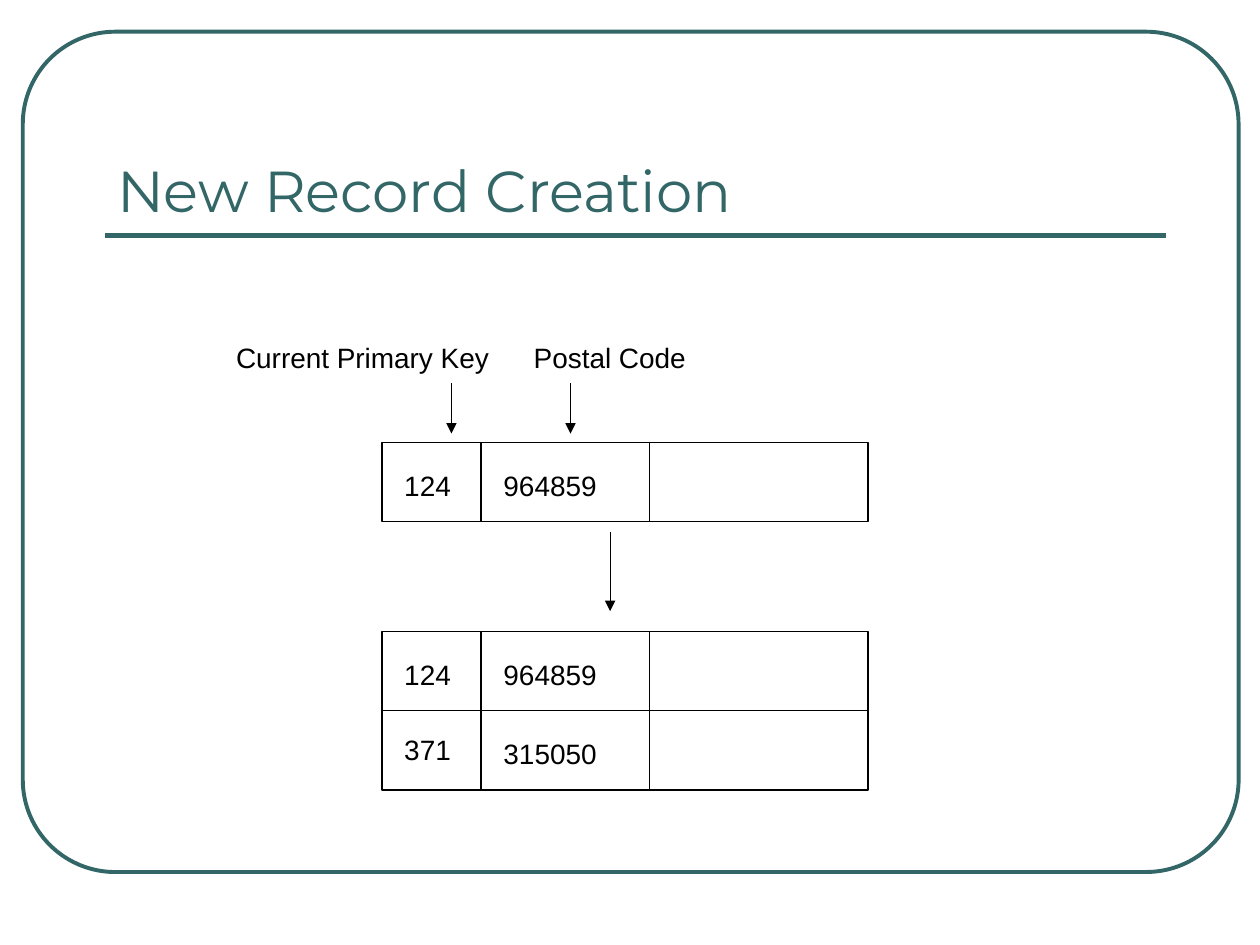
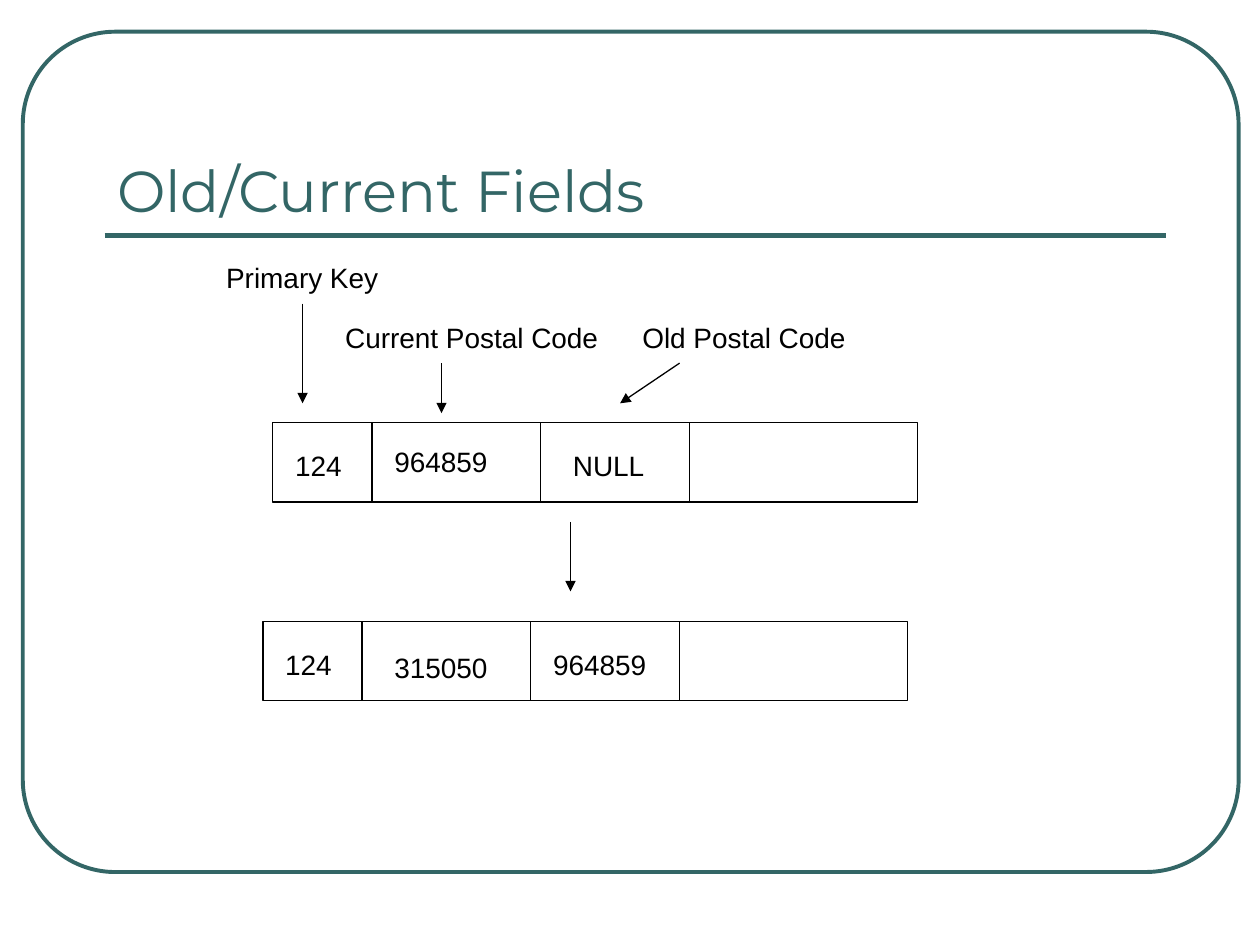
"""Build two slides that show how records change when a postal code changes."""
from dataclasses import dataclass
from itertools import accumulate
from typing import NamedTuple

from lxml.etree import SubElement
from pptx import Presentation
from pptx.dml.color import RGBColor
from pptx.enum.shapes import MSO_CONNECTOR as Connector, MSO_SHAPE as Shape
from pptx.enum.text import MSO_ANCHOR as Anchor, MSO_AUTO_SIZE as AutoSize
from pptx.oxml.ns import qn
from pptx.shapes.shapetree import GroupShapes, SlideShapes
from pptx.slide import Slide
from pptx.util import Cm, Pt

Shapes = SlideShapes | GroupShapes


@dataclass(frozen=True)
class Theme:
    """Colours, fonts, type sizes and line widths of the deck."""
    accent: RGBColor = RGBColor(0x33, 0x66, 0x66)
    ink: RGBColor = RGBColor(0, 0, 0)
    paper: RGBColor = RGBColor(255, 255, 255)
    title_font: str = "Montserrat"
    body_font: str = "Arial"
    title_size: float = 33
    body_size: float = 16
    frame_line: float = 2.25
    rule_line: float = 3
    thin_line: float = 0.75


class Label(NamedTuple):
    """A caption above a record, in centimetres."""
    text: str
    left: float
    top: float
    width: float


class Arrow(NamedTuple):
    """An arrow from its start to its head, in centimetres."""
    x1: float
    y1: float
    x2: float
    y2: float


class Cell(NamedTuple):
    """A value, its text width and its offset from the corner of its column."""
    text: str
    width: float
    dx: float = 0.2
    dy: float = 0.4


@dataclass(frozen=True)
class Record:
    """A boxed row of fields; trailing columns may stay empty."""
    left: float
    top: float
    columns: tuple[float, ...]
    cells: tuple[Cell, ...]


@dataclass(frozen=True)
class Page:
    """The content of one slide."""
    title: str
    records: tuple[Record, ...]
    labels: tuple[Label, ...]
    arrows: tuple[Arrow, ...]


THEME = Theme()
ROW_HEIGHT = 1.6
TEXT_HEIGHT = 0.94
KEY_WIDTH, CODE_WIDTH, NULL_WIDTH = 1.5, 2.45, 2.05
NEW_ROW_COLUMNS = (2.0, 3.4, 4.4)
OLD_FIELD_COLUMNS = (2.0, 3.4, 3.0, 4.6)
FIRST_ROW_CELLS = (Cell("124", KEY_WIDTH), Cell("964859", CODE_WIDTH))

PAGES = (
    Page(
        "New Record Creation",
        (
            Record(7.7, 12.73, NEW_ROW_COLUMNS, FIRST_ROW_CELLS),
            Record(7.7, 12.73 + ROW_HEIGHT, NEW_ROW_COLUMNS,
                   (Cell("371", KEY_WIDTH, dy=0.32), Cell("315050", CODE_WIDTH))),
            Record(7.7, 8.92, NEW_ROW_COLUMNS, FIRST_ROW_CELLS),
        ),
        (Label("Current Primary Key", 4.51, 6.74, 5.7),
         Label("Postal Code", 10.51, 6.74, 3.7)),
        (Arrow(9.1, 7.72, 9.1, 8.74),
         Arrow(11.5, 7.72, 11.5, 8.74),
         Arrow(12.3, 10.72, 12.3, 12.32)),
    ),
    Page(
        "Old/Current Fields",
        (
            Record(5.5, 8.52, OLD_FIELD_COLUMNS,
                   (Cell("124", KEY_WIDTH), Cell("964859", CODE_WIDTH, dy=0.32),
                    Cell("NULL", NULL_WIDTH, dx=0.4))),
            Record(5.3, 12.53, OLD_FIELD_COLUMNS,
                   (Cell("124", KEY_WIDTH), Cell("315050", CODE_WIDTH, 0.4, 0.46),
                    Cell("964859", CODE_WIDTH))),
        ),
        (Label("Primary Key", 4.31, 5.13, 3.7),
         Label("Current Postal Code", 6.71, 6.33, 5.7),
         Label("Old Postal Code", 12.7, 6.33, 4.7)),
        (Arrow(6.1, 6.12, 6.1, 8.13),
         Arrow(8.9, 7.32, 8.9, 8.33),
         Arrow(13.7, 7.32, 12.5, 8.13),
         Arrow(11.5, 10.52, 11.5, 11.92)),
    ),
)


def add_line(shapes: Shapes, ends: Arrow, color: RGBColor = THEME.ink,
             weight: float = THEME.thin_line, head: bool = False) -> None:
    """Draw a straight line, with a triangular head if asked."""
    s = shapes.add_connector(Connector.STRAIGHT, *map(Cm, ends))
    s.line.color.rgb = color
    s.line.width = Pt(weight)
    properties = s.element.spPr
    if head:
        SubElement(properties.find(qn("a:ln")), qn("a:tailEnd"), type="triangle")
    SubElement(properties, qn("a:effectLst"))


def add_text(shapes: Shapes, label: Label) -> None:
    """Write one line of body text in a box that does not wrap."""
    s = shapes.add_textbox(Cm(label.left), Cm(label.top), Cm(label.width), Cm(TEXT_HEIGHT))
    tf = s.text_frame
    tf.word_wrap = False
    tf.auto_size = AutoSize.NONE
    p = tf.paragraphs[0]
    p.text = label.text
    p.font.name = THEME.body_font
    p.font.size = Pt(THEME.body_size)
    p.font.color.rgb = THEME.ink


def add_frame(slide: Slide, title: str) -> None:
    """Draw the rounded frame, the rule and the title that slides share."""
    s = slide.shapes.add_shape(Shape.ROUNDED_RECTANGLE, Cm(0.46), Cm(0.64), Cm(24.51), Cm(16.94))
    s.adjustments[0] = 0.11
    s.shadow.inherit = False
    s.fill.background()
    s.line.color.rgb = THEME.accent
    s.line.width = Pt(THEME.frame_line)
    add_line(slide.shapes, Arrow(2.11, 4.75, 23.5, 4.75), THEME.accent, THEME.rule_line)
    tf = slide.shapes.add_textbox(Cm(2.11), Cm(1.47), Cm(21.39), Cm(3.18)).text_frame
    tf.word_wrap = True
    tf.vertical_anchor = Anchor.BOTTOM
    p = tf.paragraphs[0]
    p.text = title
    p.font.name = THEME.title_font
    p.font.size = Pt(THEME.title_size)
    p.font.color.rgb = THEME.accent


def add_record(slide: Slide, record: Record) -> None:
    """Draw a record as a group of a box, its dividers and its values."""
    shapes = slide.shapes.add_group_shape().shapes
    left, top = record.left, record.top
    s = shapes.add_shape(Shape.RECTANGLE, Cm(left), Cm(top),
                         Cm(sum(record.columns)), Cm(ROW_HEIGHT))
    s.shadow.inherit = False
    s.fill.solid()
    s.fill.fore_color.rgb = THEME.paper
    s.line.color.rgb = THEME.ink
    s.line.width = Pt(THEME.thin_line)
    edges = list(accumulate(record.columns[:-1], initial=left))
    for x in edges[1:]:
        add_line(shapes, Arrow(x, top, x, top + ROW_HEIGHT))
    for x, cell in zip(edges, record.cells):
        add_text(shapes, Label(cell.text, x + cell.dx, top + cell.dy, cell.width))


def main() -> None:
    """Build every page and save the deck."""
    prs = Presentation()
    prs.slide_width, prs.slide_height = Cm(25.4), Cm(19.05)
    for page in PAGES:
        slide = prs.slides.add_slide(prs.slide_layouts[6])
        add_frame(slide, page.title)
        for record in page.records:
            add_record(slide, record)
        for label in page.labels:
            add_text(slide.shapes, label)
        for arrow in page.arrows:
            add_line(slide.shapes, arrow, head=True)
    prs.save("out.pptx")


if __name__ == "__main__":
    main()
